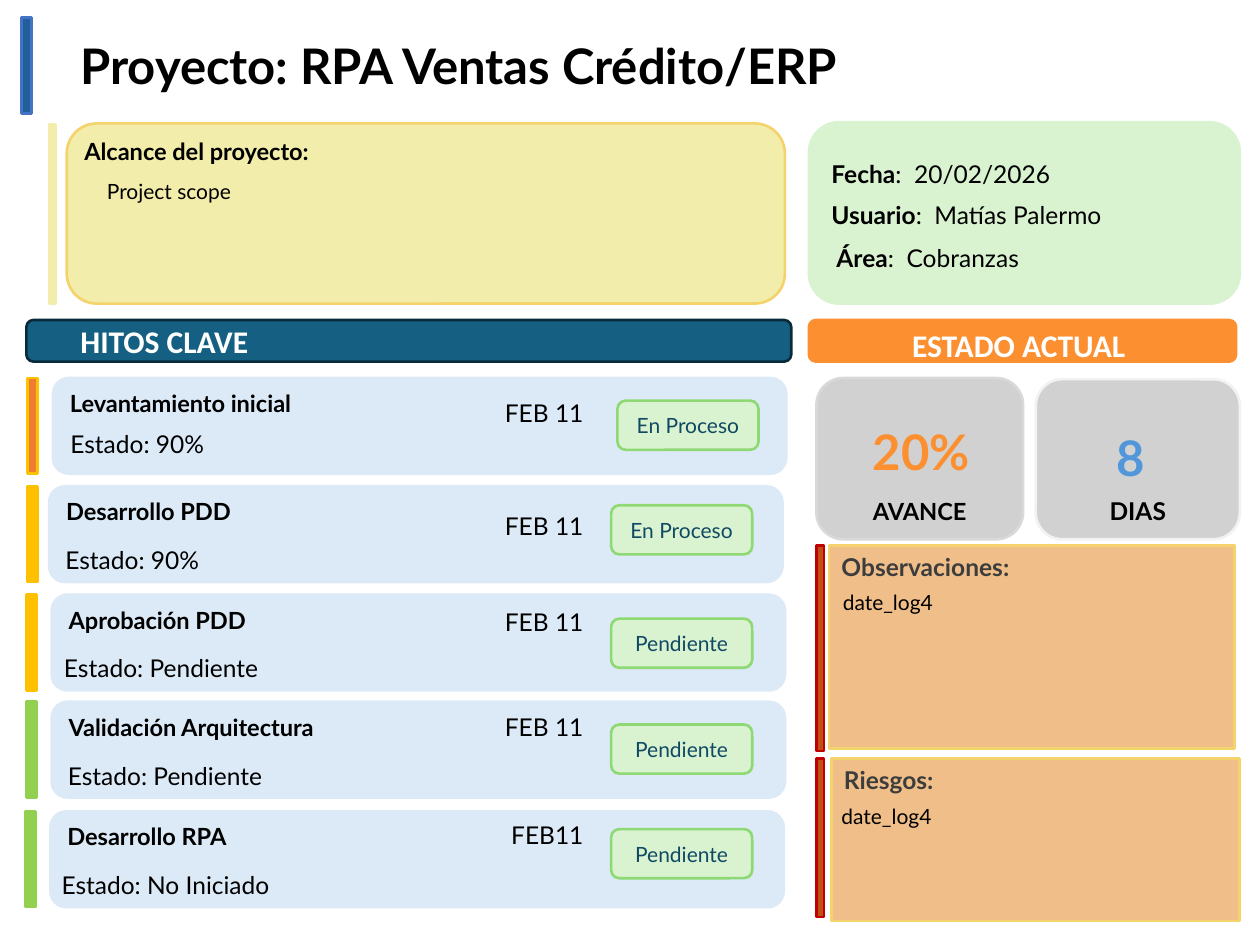
import pptx
import pptx.dml.color
import pptx.enum.shapes
import pptx.enum.text
import pptx.oxml
import pptx.util

PX = 9144  # EMU per px, 100 px to the inch
RECT = pptx.enum.shapes.MSO_SHAPE.RECTANGLE
ROUND = pptx.enum.shapes.MSO_SHAPE.ROUNDED_RECTANGLE
LEFT, CENTER, RIGHT = (pptx.enum.text.PP_ALIGN.LEFT, pptx.enum.text.PP_ALIGN.CENTER,
                       pptx.enum.text.PP_ALIGN.RIGHT)
TOP, MIDDLE, BOTTOM = (pptx.enum.text.MSO_ANCHOR.TOP, pptx.enum.text.MSO_ANCHOR.MIDDLE,
                       pptx.enum.text.MSO_ANCHOR.BOTTOM)

THEME = {
    "font": "Lato", "banner_font": "Calibri",
    "big": 28, "banner": 18, "body": 14, "label": 13.5, "small": 12,
    "black": "000000", "white": "FFFFFF", "heading": "3D3D3D",
    "blue": "215F9A", "blue_line": "4472C4", "teal": "156082", "teal_line": "092A39",
    "orange": "FC8F30", "sky": "5197DA", "amber": "FFC000", "rust": "ED7D31",
    "lime": "92D050", "red": "C00000", "brick": "C04F15",
    "grey": "D1D1D1", "grey_line": "D9D9D9", "pale_line": "F2F2F2",
    "card": "DCEAF7", "mint": "D9F2D0", "mint_line": "8ED973", "badge_text": "104963",
    "cream": "F2EDAA", "gold": "F5D36C", "sand": "E89A46",
}

prs = pptx.Presentation()
prs.slide_width, prs.slide_height = 1000 * PX, 750 * PX
slide = prs.slides.add_slide(prs.slide_layouts[6])


def box(kind, at, fill, line=None):
    """Add a filled shape; the outline takes the fill colour unless given."""
    s = slide.shapes.add_shape(kind, *(v * PX for v in at))
    s.shadow.inherit = False
    s.fill.solid()
    s.fill.fore_color.rgb = pptx.dml.color.RGBColor.from_string(THEME[fill])
    s.line.color.rgb = pptx.dml.color.RGBColor.from_string(THEME[line or fill])
    s.line.width = pptx.util.Pt(1.5)
    return s


def write(target, text, size="body", color="black", bold=False, align=LEFT,
          anchor=TOP, font="font", rest=""):
    """Write in a shape, or in a new text box at a place; rest follows unbolded."""
    if isinstance(target, tuple):
        target = slide.shapes.add_textbox(*(v * PX for v in target))
    tf = target.text_frame
    tf.word_wrap = True
    tf.vertical_anchor = anchor
    p = tf.paragraphs[0]
    p.text = text
    p.alignment = align
    if rest:
        p.add_run().text = rest
    for i, r in enumerate(p.runs):
        r.font.name = THEME[font]
        r.font.size = pptx.util.Pt(THEME[size])
        r.font.bold = bold and i == 0
        r.font.color.rgb = pptx.dml.color.RGBColor.from_string(THEME[color])
    return target


# Title
box(RECT, (17, 14, 8, 76), "blue", "blue_line")
write((54, 23, 674, 57), "Proyecto: RPA Ventas Crédito/ERP", "big", bold=True)

# Scope
box(RECT, (39, 99, 5, 142), "cream")
scope = write(box(ROUND, (53, 98, 570, 143), "cream", "gold"),
              "Alcance del proyecto:", "label", bold=True)
tf = scope.text_frame
tf.margin_left = tf.margin_right = 7 * PX
tf.margin_top = tf.margin_bottom = 4 * PX
write((75, 137, 524, 30), "Project scope", "small")

# Project details
box(ROUND, (642, 97, 342, 144), "mint")
details = [
    ("Fecha", "20/02/2026", 650, 121),
    ("Usuario", "Matías Palermo", 650, 154),
    ("Área", "Cobranzas", 654, 188),
]
for name, value, x, y in details:
    write((x, y, 255, 34), name, bold=True, rest=":  " + value)

# Section banners
box(ROUND, (21, 254, 607, 33), "teal", "teal_line")
box(ROUND, (642, 254, 339, 33), "orange")
for text, x, y in [("HITOS CLAVE", 54, 251), ("ESTADO ACTUAL", 714, 254)]:
    write((x, y, 196, 40), text, "banner", "white", True, font="banner_font")

# Milestones: name, state, date, badge, marker fill and line, row top,
# then marker x, card x, date y, badge x and y, state x and y
milestones = [
    ("Levantamiento inicial", "90%", "FEB 11", "En Proceso", "rust", "amber", 300,
     22, 42, 311, 490, 318, 46, 336),
    ("Desarrollo PDD", "90%", "FEB 11", "En Proceso", "amber", "amber", 386,
     22, 39, 401, 485, 401, 42, 428),
    ("Aprobación PDD", "Pendiente", "FEB 11", "Pendiente", "amber", "amber", 472,
     21, 41, 477, 485, 491, 41, 513),
    ("Validación Arquitectura", "Pendiente", "FEB 11", "Pendiente", "lime", "lime", 557,
     21, 41, 560, 485, 575, 44, 599),
    ("Desarrollo RPA", "No Iniciado", "FEB11", "Pendiente", "lime", "lime", 644,
     20, 40, 646, 485, 658, 39, 686),
]
for (name, state, date, badge, fill, line, top, marker_x, card_x, date_y,
     badge_x, badge_y, state_x, state_y) in milestones:
    box(RECT, (marker_x, top, 8, 76), fill, line)
    write(box(ROUND, (card_x, top, 582, 76), "card"), name, "label", bold=True)
    write((299, date_y, 174, 34), date, align=RIGHT)
    write(box(ROUND, (badge_x, badge_y, 112, 39), "mint", "mint_line"),
          badge, "small", "badge_text", align=CENTER, anchor=MIDDLE)
    write((state_x, state_y, 557, 34), "Estado: " + state)

# Indicators
indicators = [
    ("AVANCE", "label", (648, 300, 164, 128), "grey_line",
     "20%", "orange", (680, 329, 102, 57)),
    ("DIAS", "body", (822, 301, 162, 127), "pale_line",
     "8", "sky", (852, 334, 91, 57)),
]
for label, size, at, line, value, color, value_at in indicators:
    write(box(ROUND, at, "grey", line), label, size, bold=True,
          align=CENTER, anchor=BOTTOM)
    write(value_at, value, "big", color, True, CENTER, MIDDLE)

# Notes panels
panels = [
    ("Observaciones:", (648, 433, 6, 163), (658, 433, 322, 161), (659, 463, 321, 30)),
    ("Riesgos:", (648, 602, 6, 126), (660, 602, 324, 129), (658, 633, 327, 30)),
]
for heading, marker_at, panel_at, log_at in panels:
    box(RECT, marker_at, "brick", "red")
    panel = write(box(RECT, panel_at, "sand", "gold"), heading, color="heading", bold=True)
    fill_color = panel.fill._xPr.find(pptx.oxml.ns.qn("a:solidFill"))[0]
    alpha = pptx.oxml.parse_xml(
        '<a:alpha xmlns:a="http://schemas.openxmlformats.org/drawingml/2006/main" val="64000"/>')
    fill_color.append(alpha)
    write(log_at, "date_log4", "small")

prs.save("out.pptx")
